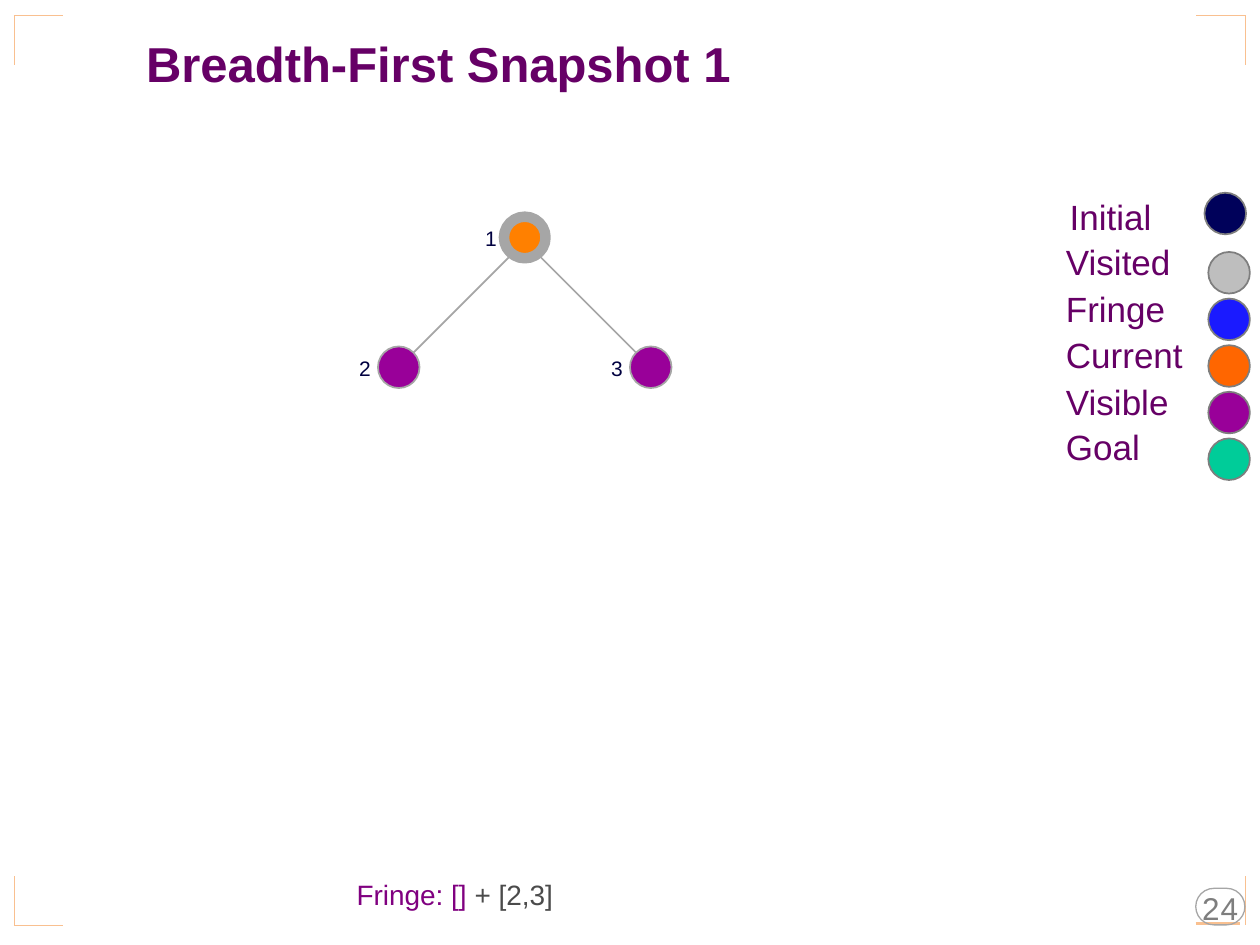
from pptx import Presentation
from pptx.dml.color import RGBColor
from pptx.enum.shapes import MSO_CONNECTOR, MSO_SHAPE
from pptx.oxml.ns import qn
from pptx.util import Inches, Pt
from lxml import etree

STRAIGHT = MSO_CONNECTOR.STRAIGHT
OVAL = MSO_SHAPE.OVAL
PILL = MSO_SHAPE.ROUNDED_RECTANGLE

COLORS = {
    "title": "660066",
    "corner": "F9C090",
    "edge": "A6A6A6",
    "legend line": "7E7E7E",
    "node label": "000040",
    "fringe": "800080",
    "added": "4B4B4B",
    "Initial": "00015A",
    "Visited": "BEBEBE",
    "Fringe": "1A1AFF",
    "Current": "FF6600",
    "Visible": "990099",
    "Goal": "00CC99",
    "root": "FF8000",
}
CIRCLE = 0.33

deck = Presentation()
deck.slide_width, deck.slide_height = Inches(10), Inches(7.5)
page = deck.slides.add_slide(deck.slide_layouts[6])


def color(name):
    return RGBColor.from_string(COLORS[name])


def add_text(place, lines, size, name, line_spacing, inset=0.01, bold=False):
    """Add a text box; each line is a list of spans. Return its paragraphs."""
    box = page.shapes.add_textbox(*[Inches(length) for length in place])
    frame = box.text_frame
    frame.word_wrap = True
    frame.margin_left = frame.margin_right = frame.margin_bottom = 0
    frame.margin_top = Inches(inset)
    for index, spans in enumerate(lines):
        para = frame.paragraphs[0] if index == 0 else frame.add_paragraph()
        for words in spans:
            para.add_run().text = words
        para.line_spacing = Pt(line_spacing)
        para.font.name = "Arial"
        para.font.size = Pt(size)
        para.font.bold = bold
        para.font.color.rgb = color(name)
    return frame.paragraphs


# Lines: (start x, start y, end x, end y, colour, width)
lines = [(9.49, 7.33, 9.84, 7.33, "corner", 1.3)]
for x, x_inner in ((0.11, 0.5), (9.88, 9.49)):
    for y, y_inner in ((0.12, 0.52), (7.34, 6.95)):
        lines.append((x, y, x, y_inner, "corner", 0.25))
        if (x, y) != (9.88, 7.34):
            lines.append((x, y, x_inner, y, "corner", 0.25))
lines += [
    (4.08, 2, 3.25, 2.83, "edge", 1),
    (4.25, 2, 5.08, 2.83, "edge", 1),
]
for *ends, name, width in lines:
    line = page.shapes.add_connector(STRAIGHT, *[Inches(end) for end in ends])
    line.line.color.rgb = color(name)
    line.line.width = Pt(width)
    etree.SubElement(line._element.spPr, qn("a:effectLst"))

# Page number badge
badge = page.shapes.add_shape(PILL, Inches(9.49), Inches(7.05), Inches(0.39), Inches(0.29))
badge.adjustments[0] = 0.5
badge.shadow.inherit = False
badge.fill.background()
badge.line.color.rgb = color("edge")
badge.line.width = Pt(0.75)

# Circles: (left, top, fill, line colour, line width)
legend = ["Initial", "Visited", "Fringe", "Current", "Visible", "Goal"]
circles = [
    (4, 1.72, "root", "edge", 6),
    (3, 2.75, "Visible", "edge", 1),
    (5, 2.75, "Visible", "edge", 1),
    (9.56, 1.53, legend[0], "legend line", 1),
]
for row, state in enumerate(legend[1:]):
    circles.append((9.59, 2 + 0.37 * row, state, "legend line", 1))
for left, top, fill, outline, width in circles:
    circle = page.shapes.add_shape(
        OVAL, Inches(left), Inches(top), Inches(CIRCLE), Inches(CIRCLE))
    circle.shadow.inherit = False
    circle.fill.solid()
    circle.fill.fore_color.rgb = color(fill)
    circle.line.color.rgb = color(outline)
    circle.line.width = Pt(width)

# Text
add_text((1.16, 0.3, 4.8, 0.42), [["Breadth-First Snapshot 1"]], 28, "title", 29.6,
         inset=0.02, bold=True)

states = add_text((8.46, 1.58, 0.99, 2.16), [[state] for state in legend], 20, "title", 23)
states[0].line_spacing = Pt(21.5)
states[0]._p.get_or_add_pPr().set("marL", str(Inches(0.03)))
states[1].space_before = Pt(2.6)
for para in states[2:]:
    para.space_before = Pt(3.6)
states[-1].line_spacing = 0.96

for number, left, top in (("1", 3.85, 1.8), ("2", 2.85, 2.83), ("3", 4.85, 2.83)):
    add_text((left, top, 0.15, 0.19), [[number]], 12, "node label", 13.2)

fringe = add_text((2.83, 6.98, 1.62, 0.25), [["Fringe: [] ", "+ [2,3]"]], 16, "fringe", 17.3)
fringe[0].runs[1].font.color.rgb = color("added")

page_number = add_text((9.54, 7.08, 0.36, 0.28), [["24"]], 18, "legend line", 19.4)
page_number[0].runs[0].font._element.set("spc", "60")

deck.save("out.pptx")
